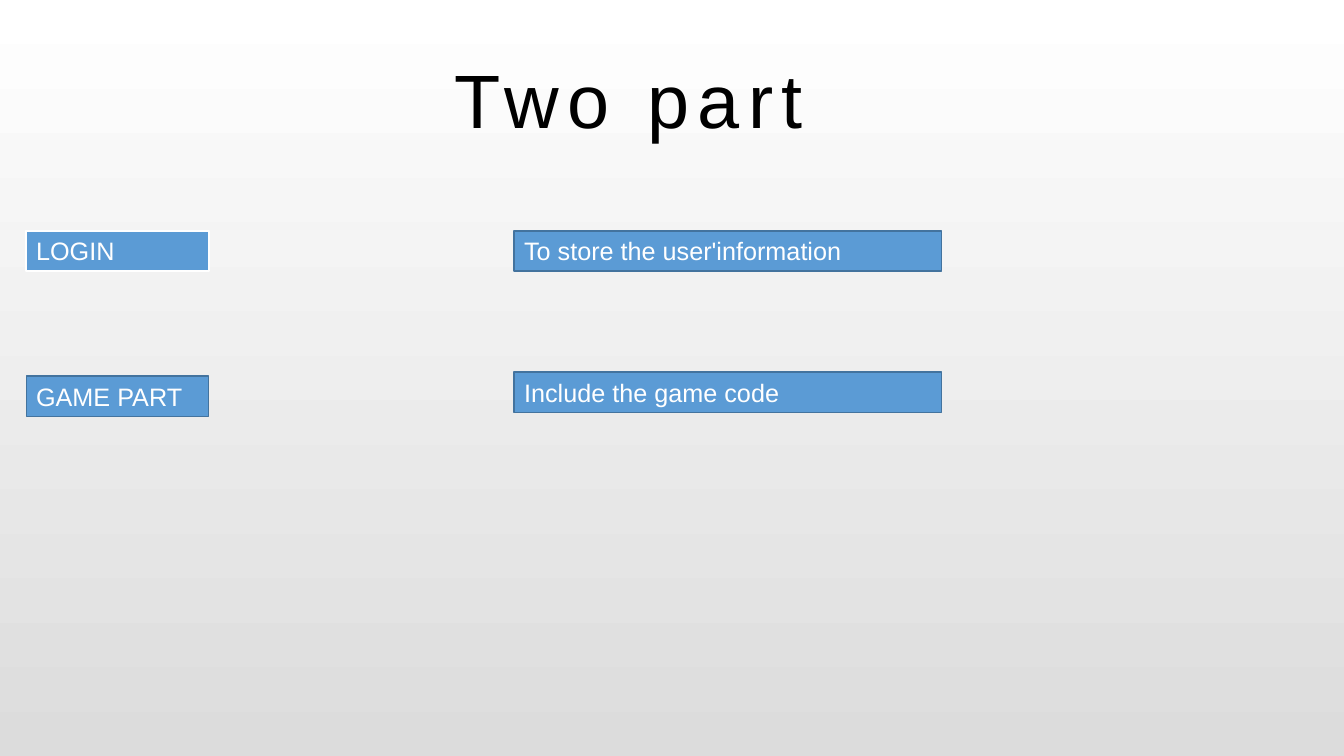
from dataclasses import dataclass

from pptx import Presentation
from pptx.dml.color import RGBColor
from pptx.enum.shapes import MSO_SHAPE as Preset
from pptx.enum.text import MSO_ANCHOR as Anchor, MSO_AUTO_SIZE as AutoSize, PP_ALIGN as Align
from pptx.slide import Slide
from pptx.util import Emu, Pt

EMU_PER_PX = 9144
FONT = "Arial"
COLORS = {
    "white": "FFFFFF",
    "gray": "DCDCDC",
    "black": "000000",
    "blue": "5B9BD5",
    "border": "43739E",
}


@dataclass(frozen=True)
class Label:
    text: str
    left: int
    top: int
    width: int
    border: str = "border"
    border_points: float = 1


LABEL_HEIGHT = 40
NAME_LEFT, NAME_WIDTH = 26, 181
DETAIL_LEFT, DETAIL_WIDTH = 510, 424
LABELS = [
    Label("LOGIN", NAME_LEFT, 229, NAME_WIDTH, "white", 1.5),
    Label("To store the user'information", DETAIL_LEFT, 229, DETAIL_WIDTH),
    Label("GAME PART", NAME_LEFT, 373, NAME_WIDTH),
    Label("Include the game code", DETAIL_LEFT, 369, DETAIL_WIDTH),
]


def px(length: int) -> Emu:
    return Emu(length * EMU_PER_PX)


def color(name: str) -> RGBColor:
    return RGBColor.from_string(COLORS[name])


def paint_background(slide: Slide) -> None:
    fill = slide.background.fill
    fill.gradient()
    fill.gradient_angle = 270
    for stop, position, name in zip(fill.gradient_stops, (0, 1), ("white", "gray")):
        stop.position = position
        stop.color.rgb = color(name)


def write(paragraph, text: str, size: int, color_name: str, align: Align) -> None:
    paragraph.text = text
    paragraph.alignment = align
    paragraph.font.name = FONT
    paragraph.font.size = Pt(size)
    paragraph.font.color.rgb = color(color_name)


def add_title(slide: Slide, text: str) -> None:
    frame = slide.shapes.add_textbox(px(26), px(49), px(1187), px(98)).text_frame
    frame.word_wrap = True
    frame.vertical_anchor = Anchor.BOTTOM
    frame.margin_left, frame.margin_right = px(11), px(3)
    frame.margin_top = frame.margin_bottom = px(4)
    paragraph = frame.paragraphs[0]
    write(paragraph, text, 54, "black", Align.CENTER)
    paragraph.runs[0].font._element.set("spc", "600")


def add_label(slide: Slide, label: Label) -> None:
    shape = slide.shapes.add_shape(
        Preset.RECTANGLE, px(label.left), px(label.top), px(label.width), px(LABEL_HEIGHT)
    )
    shape.shadow.inherit = False
    shape.fill.solid()
    shape.fill.fore_color.rgb = color("blue")
    shape.line.color.rgb = color(label.border)
    shape.line.width = Pt(label.border_points)
    frame = shape.text_frame
    frame.word_wrap = True
    frame.auto_size = AutoSize.SHAPE_TO_FIT_TEXT
    frame.vertical_anchor = Anchor.TOP
    write(frame.paragraphs[0], label.text, 18, "white", Align.LEFT)


def main() -> None:
    presentation = Presentation()
    presentation.slide_width = px(1333)
    presentation.slide_height = px(750)
    slide = presentation.slides.add_slide(presentation.slide_layouts[6])
    paint_background(slide)
    add_title(slide, "Two part")
    for label in LABELS:
        add_label(slide, label)
    presentation.save("out.pptx")


if __name__ == "__main__":
    main()
